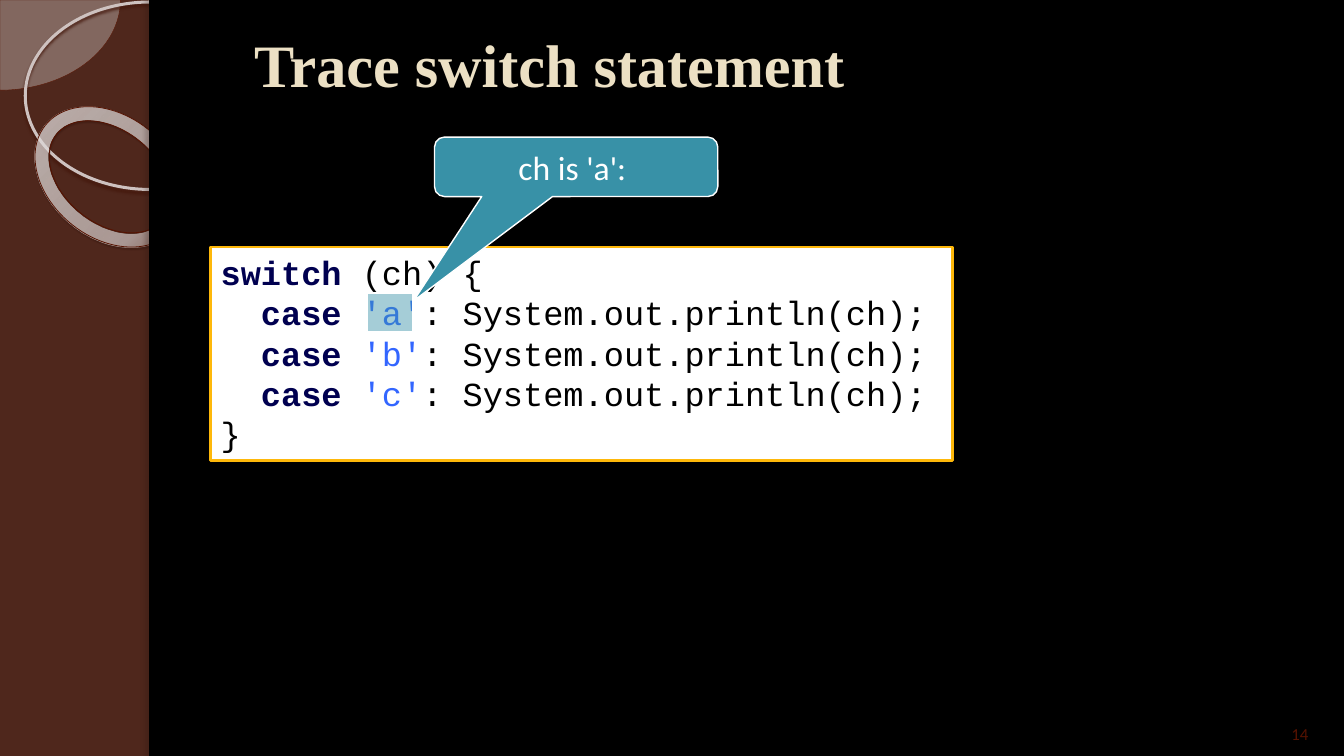
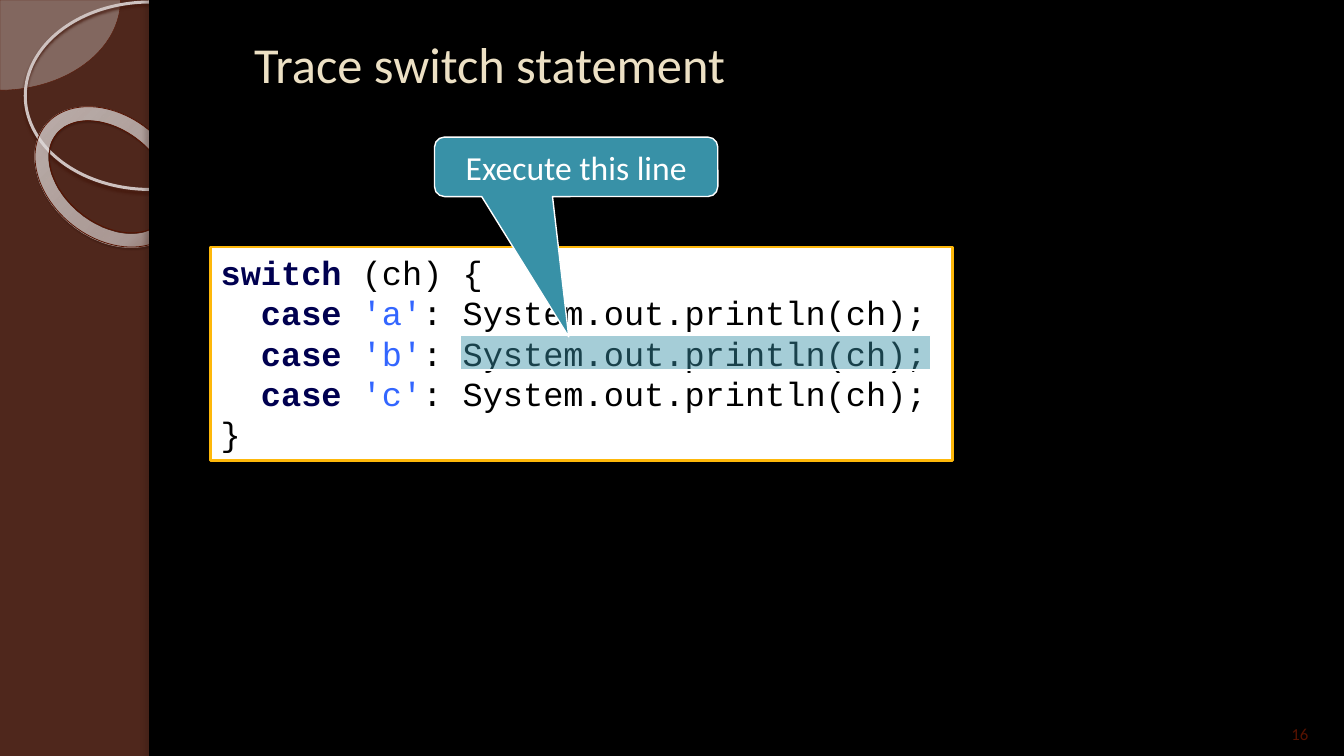
from lxml import etree
from pptx import Presentation
from pptx.dml.color import RGBColor
from pptx.enum.shapes import MSO_SHAPE
from pptx.enum.text import MSO_ANCHOR, MSO_AUTO_SIZE, PP_ALIGN
from pptx.oxml import parse_xml
from pptx.oxml.ns import qn
from pptx.util import Inches, Pt

RECT, PIE, OVAL, DONUT = (MSO_SHAPE.RECTANGLE, MSO_SHAPE.PIE,
                          MSO_SHAPE.OVAL, MSO_SHAPE.DONUT)
CALLOUT = MSO_SHAPE.ROUNDED_RECTANGULAR_CALLOUT
LEFT, CENTER, RIGHT = PP_ALIGN.LEFT, PP_ALIGN.CENTER, PP_ALIGN.RIGHT
TOP, MIDDLE = MSO_ANCHOR.TOP, MSO_ANCHOR.MIDDLE
NO_FIT = MSO_AUTO_SIZE.NONE

WIDTH, HEIGHT = Inches(13.33), Inches(7.5)
BROWN, BLACK, WHITE, CREAM = "4F271C", "000000", "FFFFFF", "ECE0C4"
TEAL, AMBER, NAVY, BLUE, MAROON = "3891A7", "FEB80A", "000050", "3366FF", "561200"
DRAWING = "http://schemas.openxmlformats.org/drawingml/2006/main"

# Boxes are left, top, width, height in percent of the slide
TITLE_BOX = (18.15, 4.67, 65.63, 7.33)
CODE_BOX = (15.68, 32.67, 55.2, 28.27)
CALLOUT_BOX = (32.33, 18.13, 21.08, 7.87)
NUMBER_BOX = (92.1, 95, 6, 4.13)

# Text formats
BODY = {"name": "Calibri", "size": Pt(24), "bold": False}
CODE = {**BODY, "name": "Courier New"}
KEYWORD = {**CODE, "bold": True}
NUMBER = {**BODY, "size": Pt(12)}
PLAIN_TITLE = {**BODY, "size": Pt(36)}
SERIF_TITLE = {"name": "Times New Roman", "size": Pt(43), "bold": True}
CODE_INDENT = Pt(2 * 0.6 * 24)  # two monospaced characters

TRACES = [
    {"number": "14", "title_format": SERIF_TITLE, "callout": "ch is 'a': ",
     "pointer": (-0.574, 2.254), "highlight": (27.3, 38.8, 3.45, 5.07)},
    {"number": "16", "title_format": PLAIN_TITLE, "callout": "Execute this line",
     "pointer": (-0.026, 2.858), "highlight": (34.28, 44.4, 34.95, 4.53)},
]


def rgb(color):
    return RGBColor.from_string(color)


def place(box):
    """Turn percent of the slide into lengths."""
    return [int(share * side / 100)
            for share, side in zip(box, (WIDTH, HEIGHT) * 2)]


def add_shape(slide, kind, box, fill=None, line=None, adjust=(), alpha=None):
    shape = slide.shapes.add_shape(kind, *place(box))
    shape.shadow.inherit = False
    for index, value in enumerate(adjust):
        shape.adjustments[index] = value
    if fill:
        shape.fill.solid()
        shape.fill.fore_color.rgb = rgb(fill)
    else:
        shape.fill.background()
    if alpha:
        tint = shape.fill._xPr.find(".//" + qn("a:srgbClr"))
        etree.SubElement(tint, qn("a:alpha"), val=str(alpha * 1000))
    if line:
        color, points = line
        shape.line.color.rgb = rgb(color)
        shape.line.width = Pt(points)
    else:
        shape.line.fill.background()
    return shape


def add_shadow(shape, color, alpha, blur, distance, angle):
    effects = shape._element.spPr.find(qn("a:effectLst"))
    effects.append(parse_xml(
        f'<a:outerShdw xmlns:a="{DRAWING}" blurRad="{Pt(blur)}" '
        f'dist="{Pt(distance)}" dir="{angle * 60000}" algn="tl" rotWithShape="0">'
        f'<a:srgbClr val="{color}"><a:alpha val="{alpha * 1000}"/></a:srgbClr>'
        '</a:outerShdw>'))


def add_radial_fill(shape, stops, focus):
    stop_xml = "".join(
        f'<a:gs pos="{at * 1000}"><a:srgbClr val="{color}">'
        f'<a:alpha val="{alpha * 1000}"/></a:srgbClr></a:gs>'
        for at, color, alpha in stops)
    edges = " ".join(f'{side}="{share * 1000}"' for side, share in zip("ltrb", focus))
    properties = shape._element.spPr
    properties.replace(properties.find(qn("a:noFill")), parse_xml(
        f'<a:gradFill xmlns:a="{DRAWING}" rotWithShape="1"><a:gsLst>{stop_xml}'
        f'</a:gsLst><a:path path="circle"><a:fillToRect {edges}/></a:path></a:gradFill>'))


def add_run(paragraph, text, color, text_format):
    run = paragraph.add_run()
    run.text = text
    run.font.color.rgb = rgb(color)
    for attribute, value in text_format.items():
        setattr(run.font, attribute, value)


def set_frame(shape, anchor):
    frame = shape.text_frame
    for attribute, value in {"word_wrap": True, "auto_size": NO_FIT,
                             "vertical_anchor": anchor}.items():
        setattr(frame, attribute, value)
    return frame


def write_line(shape, text, color, text_format, align):
    paragraph = set_frame(shape, MIDDLE).paragraphs[0]
    paragraph.alignment = align
    add_run(paragraph, text, color, text_format)


def draw_theme(slide):
    """Draw the sidebar once and hand it to the layout."""
    quarter = add_shape(slide, PIE, (-8.96, -11.93, 17.92, 23.86), "ECEAE9",
                        ("591502", 0.25), (0, 54), 33)
    orbit = add_shape(slide, OVAL, (1.88, 0.27, 18.6, 24.8), line=("CEC2C0", 2.15))
    add_shadow(orbit, "44170B", 85, 2, 2, 90)
    ring = add_shape(slide, DONUT, (2.03, 15.33, 12.3, 16.13),
                     line=(MAROON, 0.58), adjust=(0.118,))
    ring.rotation = 38.6
    add_radial_fill(ring, [(0, "F4F2F2", 70), (70, "F9F8F8", 55), (100, "5E1400", 60)],
                    (-408, -50, 508, 150))
    add_shadow(ring, "260901", 35, 1, 1.2, 75)
    panel = add_shape(slide, RECT, (11.1, 0, 88.9, 100), BLACK)
    edge = add_shape(slide, RECT, (11.1, 0, 0.82, 100), BLACK)
    add_shadow(edge, "29130D", 25, 3, 3, 180)

    layout = slide.slide_layout
    layout.background.fill.solid()
    layout.background.fill.fore_color.rgb = rgb(BROWN)
    for order, part in enumerate((quarter, orbit, ring, panel, edge)):
        part._element.nvSpPr.cNvPr.set("id", str(100 + order))
        layout.shapes._spTree.insert(2 + order, part._element)


def add_title(slide, text_format):
    title = slide.shapes.title
    title.left, title.top, title.width, title.height = place(TITLE_BOX)
    write_line(title, "Trace switch statement", CREAM, text_format, LEFT)


def add_code(slide):
    listing = add_shape(slide, RECT, CODE_BOX, WHITE, (AMBER, 2))
    frame = set_frame(listing, TOP)
    opening = frame.paragraphs[0]
    add_run(opening, "switch", NAVY, KEYWORD)
    add_run(opening, " (ch) {", BLACK, CODE)
    for letter in "abc":
        branch = frame.add_paragraph()
        branch._p.get_or_add_pPr().set("marL", str(CODE_INDENT))
        add_run(branch, "case ", NAVY, KEYWORD)
        add_run(branch, f"'{letter}'", BLUE, CODE)
        add_run(branch, ": System.out.println(ch);", BLACK, CODE)
    add_run(frame.add_paragraph(), "}", BLACK, CODE)
    for paragraph in frame.paragraphs:
        paragraph.alignment = LEFT


def add_callout(slide, text, pointer):
    callout = add_shape(slide, CALLOUT, CALLOUT_BOX, TEAL, (WHITE, 1),
                        (*pointer, 0.167))
    write_line(callout, text, WHITE, BODY, CENTER)


def add_number(slide, number):
    corner = slide.shapes.add_textbox(*place(NUMBER_BOX))
    write_line(corner, number, MAROON, NUMBER, RIGHT)


def main():
    deck = Presentation()
    deck.slide_width, deck.slide_height = WIDTH, HEIGHT
    title_only = deck.slide_layouts[5]
    for order, trace in enumerate(TRACES):
        slide = deck.slides.add_slide(title_only)
        if order == 0:
            draw_theme(slide)
        add_title(slide, trace["title_format"])
        add_code(slide)
        add_shape(slide, RECT, trace["highlight"], TEAL, (WHITE, 1), alpha=45)
        add_callout(slide, trace["callout"], trace["pointer"])
        add_number(slide, trace["number"])
    deck.save("out.pptx")


main()
